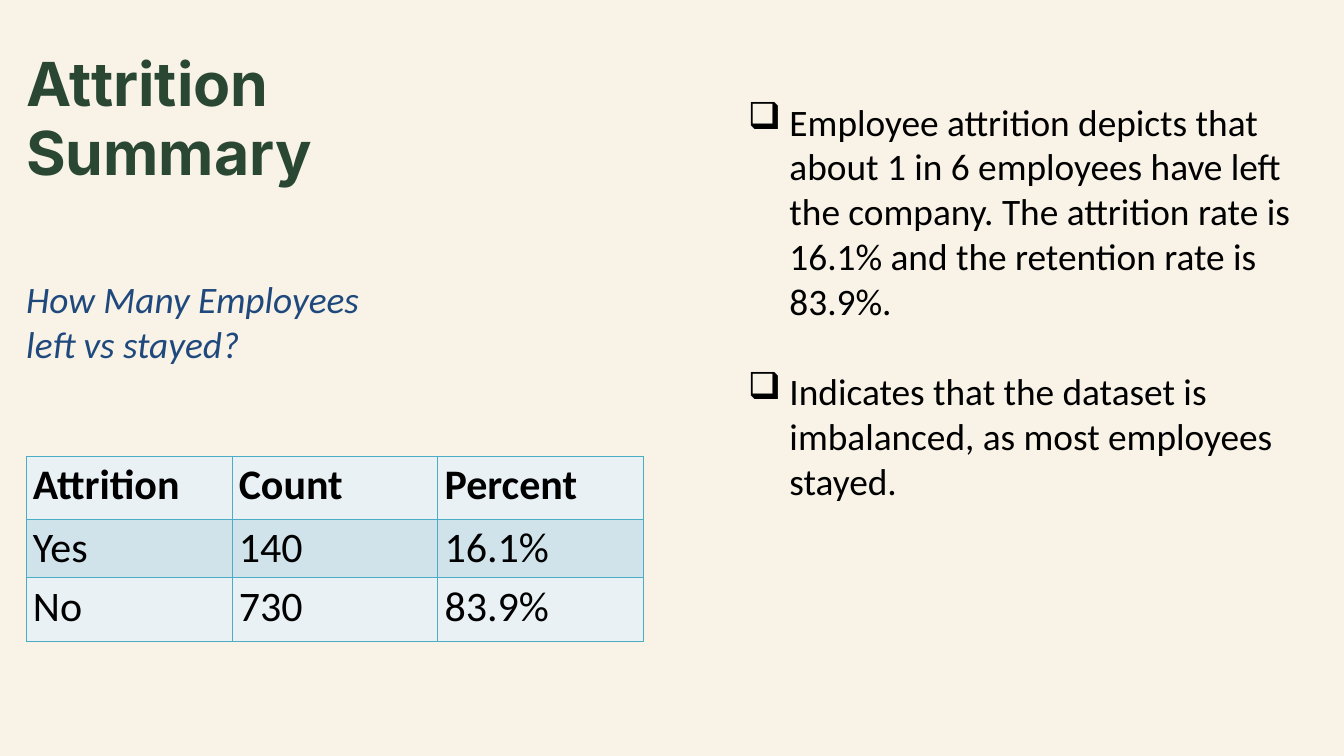
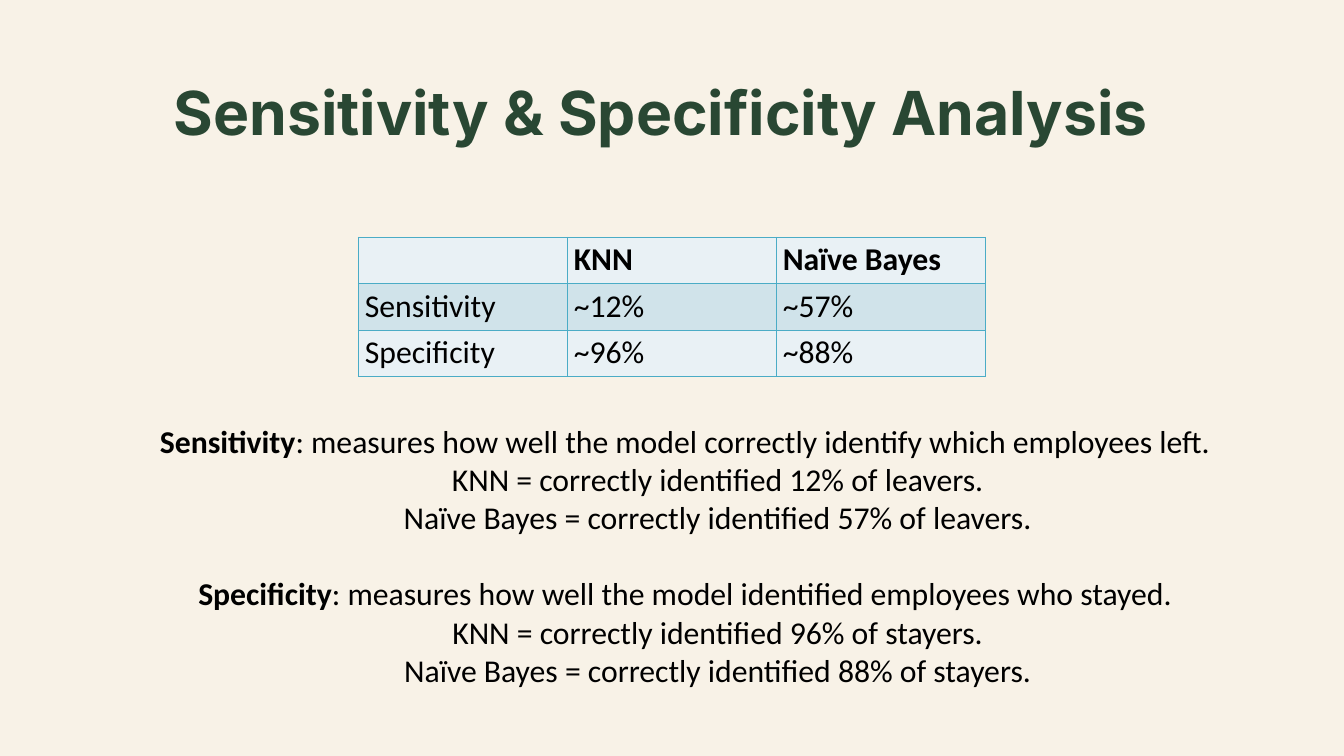
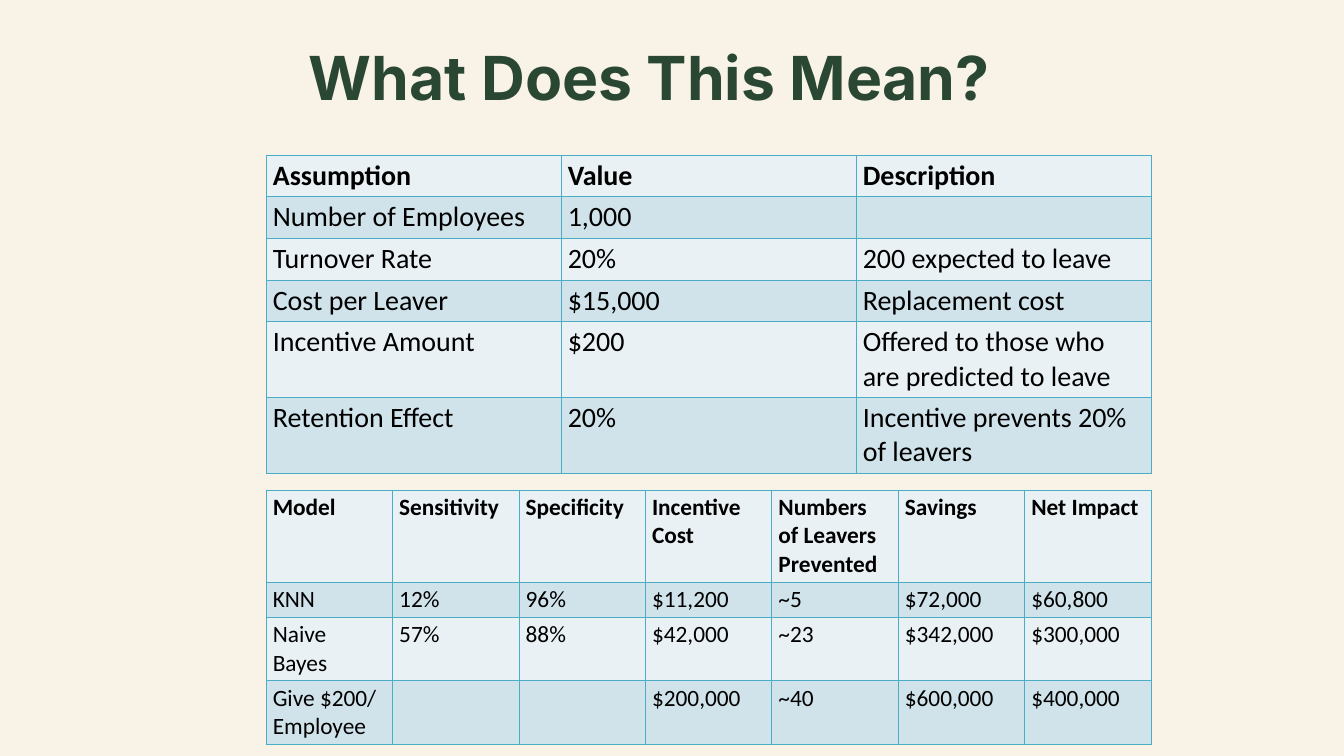
from copy import deepcopy
from dataclasses import dataclass

from lxml import etree
from pptx import Presentation
from pptx.dml.color import RGBColor
from pptx.enum.text import MSO_ANCHOR, MSO_AUTO_SIZE, PP_ALIGN
from pptx.oxml import parse_xml
from pptx.oxml.ns import nsdecls, qn
from pptx.util import Inches, Pt


@dataclass(frozen=True)
class Theme:
    background: str = "F8F2E7"
    heading: str = "294733"
    question: str = "1F497D"
    ink: str = "000000"
    border: str = "4BACC6"
    bands: tuple = ("E9F1F5", "D0E3EA")
    title_font: str = "Inter"
    body_font: str = "Calibri"
    title_size: float = 65
    title_leading: float = 74.1
    lead_size: float = 40
    note_size: float = 34
    note_indent: float = 0.97
    bullet_indent: float = 0.62
    line_share: float = 1.22


THEME = Theme()
WIDTH, HEIGHT = 20, 11.25
MARGIN = 0.39
MODEL_LEFT, MODEL_WIDTH = 3.96, 13.17

# Boxes are left, top, width, height in inches; a table takes its height from its rows.
SUMMARY = {
    "title": ("Attrition Summary", (MARGIN, 0.72, 7.25, 2.08), PP_ALIGN.LEFT),
    "question": ("How Many Employees left vs stayed?", (MARGIN, 4.11, 5.38, 2.02)),
    "findings": (
        [
            "Employee attrition depicts that about 1 in 6 employees have left the company. "
            "The attrition rate is 16.1% and the retention rate is 83.9%.",
            "Indicates that the dataset is imbalanced, as most employees stayed.",
        ],
        (11.03, 1.42, 8.58, 6.83),
    ),
    "tables": [
        {
            "at": (MARGIN, 6.79, 9.19),
            "size": 45,
            "heights": [0.94, 0.87, 0.95],
            "rows": [
                ("Attrition", "Count", "Percent"),
                ("Yes", "140", "16.1%"),
                ("No", "730", "83.9%"),
            ],
        }
    ],
}

ANALYSIS = {
    "title": ("Sensitivity & Specificity Analysis", (1.41, 1.16, 16.87, 1.04), PP_ALIGN.CENTER),
    "tables": [
        {
            "at": (5.33, 3.53, 9.33),
            "size": 34,
            "heights": [0.69] * 3,
            "rows": [
                ("", "KNN", "Naïve Bayes"),
                ("Sensitivity", "~12%", "~57%"),
                ("Specificity", "~96%", "~88%"),
            ],
        }
    ],
    "measures": (
        [
            (
                "Sensitivity",
                ": measures how well the model correctly identify which employees left.",
                [
                    "KNN = correctly identified 12% of leavers.",
                    "Naïve Bayes = correctly identified 57% of leavers.",
                ],
            ),
            (
                "Specificity",
                ": measures how well the model identified employees who stayed.",
                [
                    "KNN = correctly identified 96% of stayers.",
                    "Naïve Bayes = correctly identified 88% of stayers.",
                ],
            ),
        ],
        (1.55, 6.22, 17.29, 4.11),
    ),
}

MEANING = {
    "title": ("What Does This Mean?", (1.17, 0.57, 17, 1.19), PP_ALIGN.CENTER),
    "tables": [
        {
            "at": (MODEL_LEFT, 2.31, MODEL_WIDTH),
            "size": 30,
            "heights": [0.62] * 4 + [1.13] * 2,
            "rows": [
                ("Assumption", "Value", "Description"),
                ("Number of Employees", "1,000", ""),
                ("Turnover Rate", "20%", "200 expected to leave"),
                ("Cost per Leaver", "$15,000", "Replacement cost"),
                ("Incentive Amount", "$200", "Offered to those who are predicted to leave"),
                ("Retention Effect", "20%", "Incentive prevents 20% of leavers"),
            ],
        },
        {
            "at": (MODEL_LEFT, 7.29, MODEL_WIDTH),
            "size": 25,
            "heights": [1.36, 0.52, 0.94, 0.94],
            "rows": [
                ("Model", "Sensitivity", "Specificity", "Incentive Cost",
                 "Numbers of Leavers Prevented", "Savings", "Net Impact"),
                ("KNN", "12%", "96%", "$11,200", "~5", "$72,000", "$60,800"),
                ("Naive Bayes", "57%", "88%", "$42,000", "~23", "$342,000", "$300,000"),
                ("Give $200/ Employee", "", "", "$200,000", "~40", "$600,000", "$400,000"),
            ],
        },
    ],
}


def set_font(paragraph, size, color=THEME.ink, name=THEME.body_font, bold=False, italic=False):
    font = paragraph.font
    font.name, font.size, font.bold, font.italic = name, Pt(size), bold, italic
    font.color.rgb = RGBColor.from_string(color)


def indent(paragraph, left, first=0):
    properties = paragraph._p.get_or_add_pPr()
    properties.set("marL", str(Inches(left)))
    properties.set("indent", str(Inches(first)))
    return properties


def clear_insets(frame):
    frame.margin_left = frame.margin_top = frame.margin_right = frame.margin_bottom = 0


def next_paragraph(frame):
    """Return the empty first paragraph, or a new one after the text already there."""
    first = frame.paragraphs[0]
    return frame.add_paragraph() if first.runs else first


def add_frame(slide, box):
    frame = slide.shapes.add_textbox(*map(Inches, box)).text_frame
    frame.word_wrap = True
    return frame


def add_titled_slide(deck, text, box, alignment):
    slide = deck.slides.add_slide(deck.slide_layouts[5])
    title = slide.shapes.title
    title.left, title.top, title.width, title.height = map(Inches, box)
    frame = title.text_frame
    frame.text = text
    frame.word_wrap = True
    frame.auto_size = MSO_AUTO_SIZE.NONE
    frame.vertical_anchor = MSO_ANCHOR.MIDDLE
    clear_insets(frame)
    heading = frame.paragraphs[0]
    heading.alignment = alignment
    heading.line_spacing = Pt(THEME.title_leading)
    set_font(heading, THEME.title_size, THEME.heading, THEME.title_font, bold=True)
    return slide


def add_borders(cell):
    properties = cell._tc.get_or_add_tcPr()
    line = parse_xml(
        f'<a:lnL {nsdecls("a")} w="{Pt(1)}"><a:solidFill>'
        f'<a:srgbClr val="{THEME.border}"/></a:solidFill></a:lnL>'
    )
    for position, side in enumerate(("lnL", "lnR", "lnT", "lnB")):
        edge = deepcopy(line)
        edge.tag = qn(f"a:{side}")
        properties.insert(position, edge)


def add_banded_table(slide, at, size, heights, rows):
    left, top, width = at
    columns = len(rows[0])
    table = slide.shapes.add_table(
        len(rows), columns, *map(Inches, (left, top, width, sum(heights)))
    ).table
    table.first_row = table.horz_banding = False
    for column in table.columns:
        column.width = Inches(width / columns)
    for r, (height, values) in enumerate(zip(heights, rows)):
        table.rows[r].height = Inches(height)
        for c, value in enumerate(values):
            cell = table.cell(r, c)
            cell.text = value
            set_font(cell.text_frame.paragraphs[0], size, bold=r == 0)
            cell.fill.solid()
            cell.fill.fore_color.rgb = RGBColor.from_string(THEME.bands[r % 2])
            add_borders(cell)


def add_question(slide, text, box):
    frame = add_frame(slide, box)
    clear_insets(frame)
    frame.text = text
    set_font(frame.paragraphs[0], THEME.lead_size, THEME.question, italic=True)


def add_findings(slide, findings, box):
    frame = add_frame(slide, box)
    for number, finding in enumerate(findings):
        paragraph = next_paragraph(frame)
        paragraph.add_run().text = finding
        properties = indent(paragraph, THEME.bullet_indent, -THEME.bullet_indent)
        etree.SubElement(properties, qn("a:buChar")).set("char", "❑")
        if number:
            paragraph.space_before = Pt(THEME.lead_size * THEME.line_share)
        set_font(paragraph, THEME.lead_size)


def add_measures(slide, measures, box):
    frame = add_frame(slide, box)
    for number, (term, meaning, results) in enumerate(measures):
        definition = next_paragraph(frame)
        term_run = definition.add_run()
        term_run.text, term_run.font.bold = term, True
        definition.add_run().text = meaning
        if number:
            definition.space_before = Pt(THEME.note_size * THEME.line_share)
        for result in results:
            paragraph = next_paragraph(frame)
            paragraph.add_run().text = result
            indent(paragraph, THEME.note_indent)
    for paragraph in frame.paragraphs:
        paragraph.alignment = PP_ALIGN.CENTER
        set_font(paragraph, THEME.note_size)


def main():
    deck = Presentation()
    deck.slide_width, deck.slide_height = Inches(WIDTH), Inches(HEIGHT)
    backdrop = deck.slide_master.background.fill
    backdrop.solid()
    backdrop.fore_color.rgb = RGBColor.from_string(THEME.background)

    writers = {"question": add_question, "findings": add_findings, "measures": add_measures}
    for content in (SUMMARY, ANALYSIS, MEANING):
        slide = add_titled_slide(deck, *content["title"])
        for table in content["tables"]:
            add_banded_table(slide, **table)
        for part, write in writers.items():
            if part in content:
                write(slide, *content[part])
    deck.save("out.pptx")


if __name__ == "__main__":
    main()
